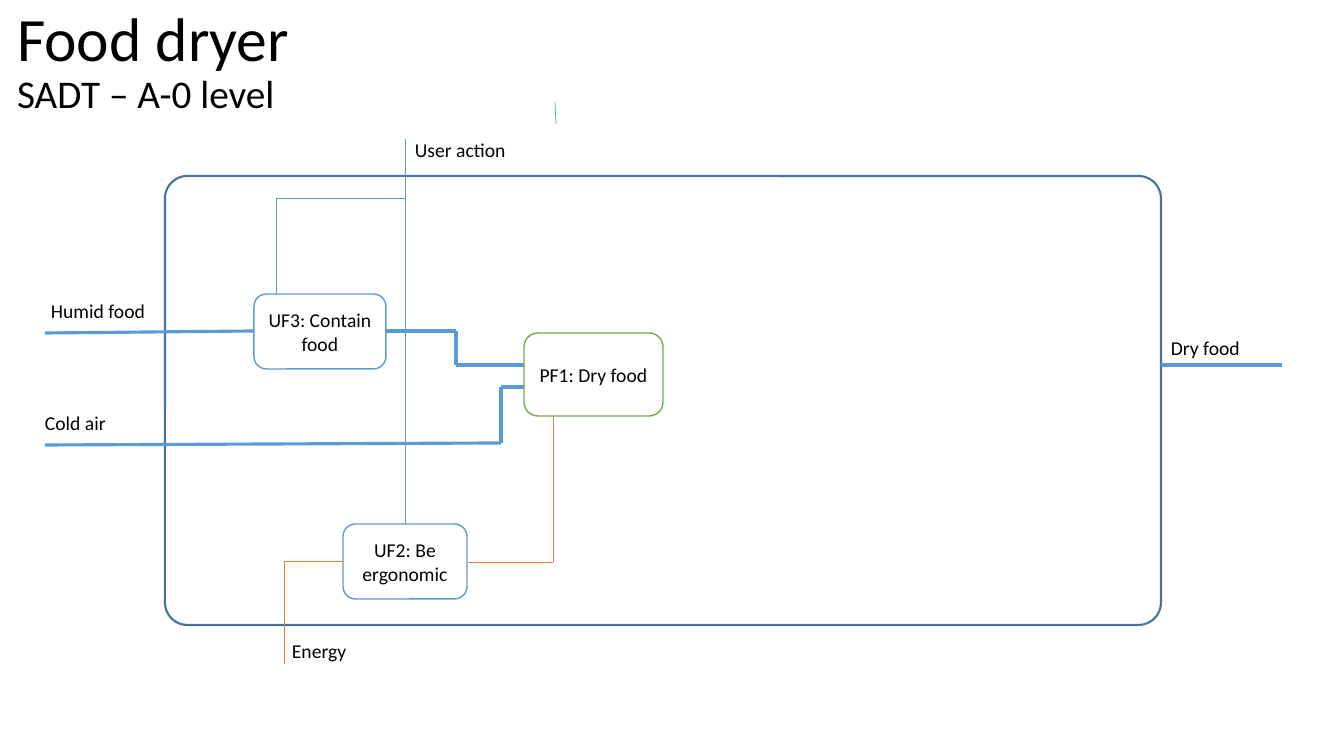
"""Build the SADT A-0 level slide of a food dryer."""
from itertools import pairwise

from pptx import Presentation
from pptx.dml.color import RGBColor
from pptx.enum.shapes import MSO_CONNECTOR, MSO_SHAPE
from pptx.enum.text import MSO_ANCHOR, MSO_AUTO_SIZE, PP_ALIGN
from pptx.oxml.xmlchemy import OxmlElement
from pptx.util import Pt

BLACK = RGBColor(0x00, 0x00, 0x00)
WHITE = RGBColor(0xFF, 0xFF, 0xFF)
NAVY = RGBColor(0x43, 0x73, 0x9E)
BLUE = RGBColor(0x5B, 0x9B, 0xD5)
GREEN = RGBColor(0x70, 0xAD, 0x47)
ORANGE = RGBColor(0xED, 0x7D, 0x31)
FONT = "Calibri"
THIN, THICK = 0.5, 2.25
LABEL_HEIGHT = 34
SCALE = 914400 / 100.8

TITLE_LINES = [("Food dryer", 44), ("SADT – A-0 level", 28)]
TITLE_AREA = (7, 7, 1159, 115)
SYSTEM_FRAME = (165, 176, 996, 449)

FLOWS = [
    (BLUE, THICK, [(45, 333), (254, 331)]),
    (BLUE, THICK, [(386, 331), (456, 331), (456, 365), (524, 365)]),
    (BLUE, THICK, [(45, 445), (501, 443), (501, 387), (524, 387)]),
    (BLUE, THICK, [(1161, 365), (1282, 365)]),
    (BLUE, THIN, [(405, 524), (405, 139)]),
    (BLUE, THIN, [(405, 198), (276, 198), (276, 294)]),
    (BLUE, THIN, [(556, 124), (555, 102)]),
    (ORANGE, THIN, [(284, 664), (284, 561), (343, 561)]),
    (ORANGE, THIN, [(468, 562), (553, 562), (553, 416)]),
]
LABELS = [
    ("Energy", 282, 634, 78),
    ("Humid food", 41, 294, 129),
    ("Dry food", 1161, 331, 129),
    ("User action", 405, 133, 178),
    ("Cold air", 35, 406, 129),
]
FUNCTIONS = [
    ("PF1: Dry food", (524, 333, 139, 83), GREEN),
    ("UF2: Be ergonomic", (343, 524, 124, 75), BLUE),
    ("UF3: Contain food", (254, 294, 132, 75), BLUE),
]


def emu(*pixels):
    return [round(value * SCALE) for value in pixels]


def style_paragraph(para, size, alignment=PP_ALIGN.LEFT):
    para.alignment = alignment
    para.font.name = FONT
    para.font.size = Pt(size)
    para.font.color.rgb = BLACK


def add_title(slide):
    title = slide.shapes.title
    title.left, title.top, title.width, title.height = emu(*TITLE_AREA)
    frame = title.text_frame
    frame.auto_size = MSO_AUTO_SIZE.NONE
    frame.vertical_anchor = MSO_ANCHOR.BOTTOM
    frame.text = "\n".join(text for text, _ in TITLE_LINES)
    for para, (_, size) in zip(frame.paragraphs, TITLE_LINES):
        style_paragraph(para, size)
        para.line_spacing = 0.9
        para.space_before = Pt(0)


def add_rounded_box(slide, area, color, width):
    box = slide.shapes.add_shape(MSO_SHAPE.ROUNDED_RECTANGLE, *emu(*area))
    box.shadow.inherit = False
    box.fill.background()
    box.line.color.rgb = color
    box.line.width = Pt(width)
    return box


def add_flow(slide, color, width, points):
    for start, end in pairwise(points):
        line = slide.shapes.add_connector(MSO_CONNECTOR.STRAIGHT, *emu(*start, *end))
        line.line.color.rgb = color
        line.line.width = Pt(width)
        line._element.spPr.append(OxmlElement("a:effectLst"))


def add_label(slide, text, left, top, width):
    label = slide.shapes.add_textbox(*emu(left, top, width, LABEL_HEIGHT))
    label.text_frame.word_wrap = True
    label.text_frame.text = text
    style_paragraph(label.text_frame.paragraphs[0], 14)


def add_function(slide, text, area, color):
    box = add_rounded_box(slide, area, color, 1)
    box.fill.solid()
    box.fill.fore_color.rgb = WHITE
    frame = box.text_frame
    frame.word_wrap = True
    frame.vertical_anchor = MSO_ANCHOR.MIDDLE
    frame.text = text
    style_paragraph(frame.paragraphs[0], 14, PP_ALIGN.CENTER)


deck = Presentation()
deck.slide_width, deck.slide_height = emu(1344, 756)
page = deck.slides.add_slide(deck.slide_layouts.get_by_name("Title Only"))
add_title(page)
system = add_rounded_box(page, SYSTEM_FRAME, NAVY, 1.5)
system.adjustments[0] = 0.05
for flow in FLOWS:
    add_flow(page, *flow)
for caption in LABELS:
    add_label(page, *caption)
for function in FUNCTIONS:
    add_function(page, *function)
deck.save("out.pptx")
